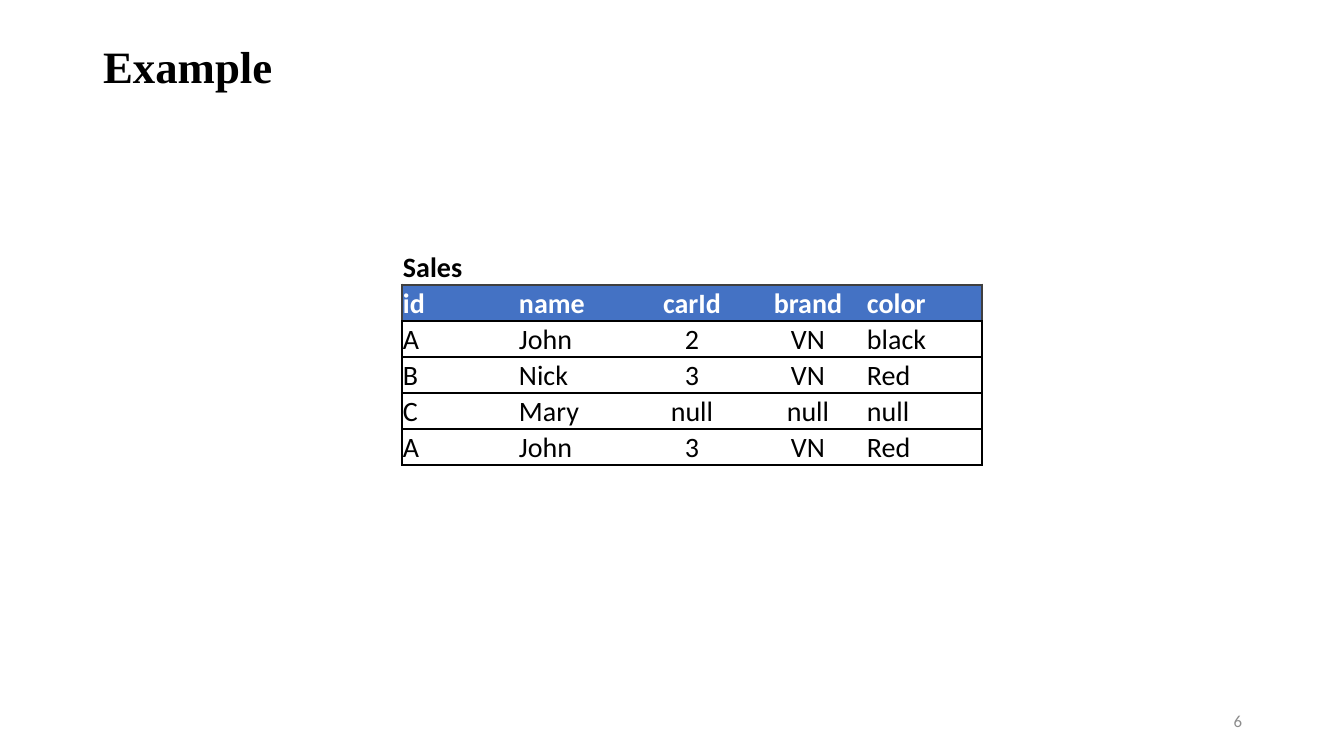
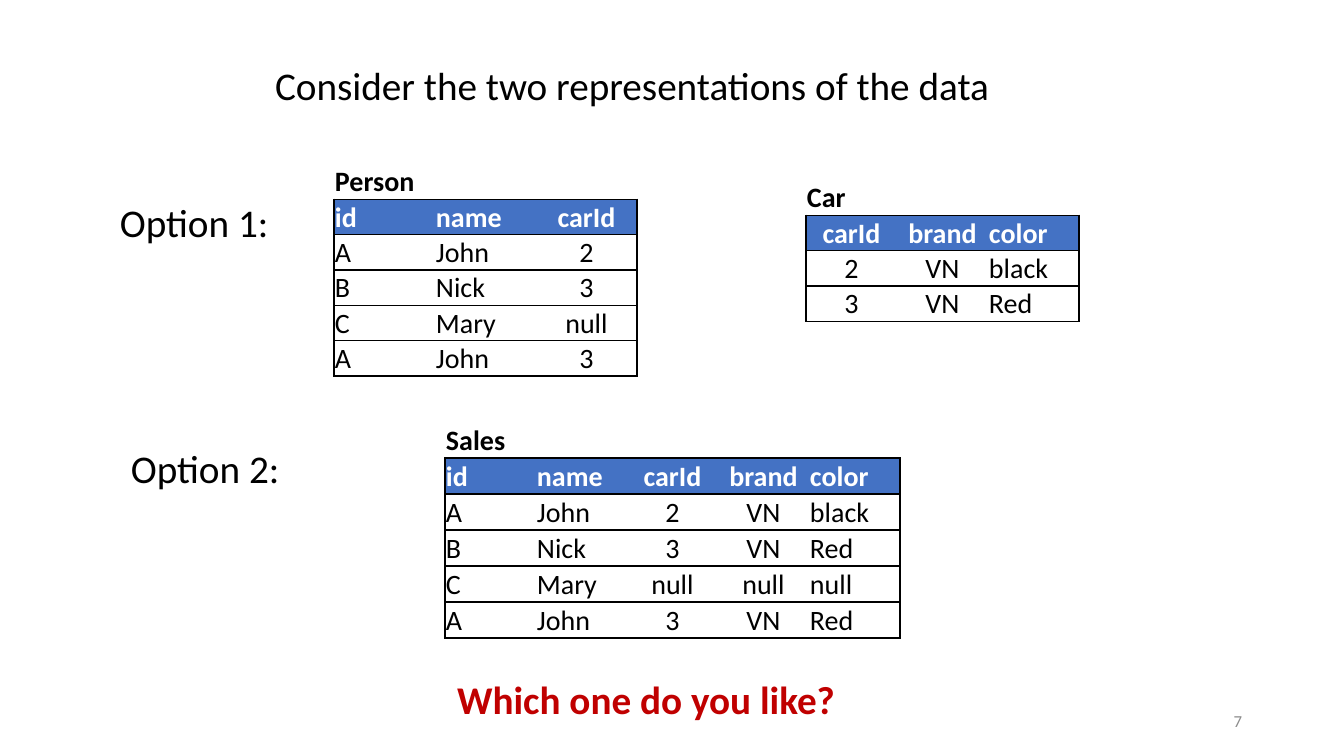
from lxml import etree
from pptx import Presentation
from pptx import util as u
from pptx.dml.color import RGBColor
from pptx.enum import text
from pptx.oxml.ns import qn

EMU_PER_INCH, PX_PER_INCH = 914400, 100.8
BLACK, WHITE, BLUE, RED = "000000", "FFFFFF", "4472C4", "C00000"
DARK, GREY = "3F3F3F", "8C8C8C"
NO_STYLE = "{2D5ABB26-0587-4C30-8999-92F81FD0307C}"
LEFT, CENTER, RIGHT = text.PP_ALIGN.LEFT, text.PP_ALIGN.CENTER, text.PP_ALIGN.RIGHT
TOP, MIDDLE, BOTTOM = text.MSO_ANCHOR.TOP, text.MSO_ANCHOR.MIDDLE, text.MSO_ANCHOR.BOTTOM


def px(*lengths):
    return [u.Emu(round(n * EMU_PER_INCH / PX_PER_INCH)) for n in lengths]


def write(tf, words, size, color=BLACK, bold=False, align=LEFT, font="Calibri"):
    p = tf.paragraphs[0]
    p.alignment = align
    r = p.add_run()
    r.text = words
    r.font.name, r.font.size, r.font.bold = font, u.Pt(size), bold
    r.font.color.rgb = RGBColor.from_string(color)


# Data: the split tables are columns of the sales table
sales = [
    ["id", "name", "carId", "brand", "color"],
    ["A", "John", "2", "VN", "black"],
    ["B", "Nick", "3", "VN", "Red"],
    ["C", "Mary", "null", "null", "null"],
    ["A", "John", "3", "VN", "Red"],
]
person = [row[:3] for row in sales]
car = [row[2:] for row in sales[:3]]
centered = ("carId", "brand")

# Title: words, box, size, bold, font, line spacing
# Tables: caption, rows, left, top, column width, row height, header line
# Labels: words, box, colour, bold, alignment
slides = [
    dict(
        number="6",
        title=("Example", (93, 40, 1159, 146), 32, True, "Times New Roman", 0.9),
        tables=[("Sales", sales, 402, 249, 116, 36, (DARK, 2))],
        labels=[],
    ),
    dict(
        number="7",
        title=("Consider the two representations of the data",
               (265, 56, 813, 57), 28, False, "Calibri", 1.0),
        tables=[
            ("Person", person, 334, 164, 101, 35, (BLACK, 1)),
            ("Car", car, 806, 180, 91, 35, (BLACK, 1)),
            ("Sales", sales, 445, 422, 91, 36, (BLACK, 1)),
        ],
        labels=[
            ("Option 1:", (110, 193, 244, 57), BLACK, False, LEFT),
            ("Option 2:", (121, 439, 244, 57), BLACK, False, LEFT),
            ("Which one do you like?", (445, 670, 402, 57), RED, True, CENTER),
        ],
    ),
]

prs = Presentation()
prs.slide_width, prs.slide_height = px(1344, 756)

for page in slides:
    s = prs.slides.add_slide(prs.slide_layouts[5])

    # Title
    words, box, size, bold, font, spacing = page["title"]
    sp = s.shapes.title
    sp.left, sp.top, sp.width, sp.height = px(*box)
    tf = sp.text_frame
    tf.auto_size, tf.vertical_anchor = text.MSO_AUTO_SIZE.NONE, TOP
    write(tf, words, size, bold=bold, font=font)
    tf.paragraphs[0].line_spacing = spacing

    # Tables
    for caption, rows, left, top, col_w, row_h, header_line in page["tables"]:
        n_rows, n_cols = len(rows) + 1, len(rows[0])
        frame = s.shapes.add_table(n_rows, n_cols, *px(left, top, col_w * n_cols, row_h * n_rows))
        frame.element.find(".//" + qn("a:tableStyleId")).text = NO_STYLE
        table = frame.table
        table.first_row = table.horz_banding = False
        captioned = [[caption] + [""] * (n_cols - 1)] + rows
        for i, row in enumerate(captioned):
            for j, words in enumerate(row):
                cell = table.cell(i, j)
                cell.vertical_anchor = BOTTOM
                cell.margin_left, cell.margin_right, cell.margin_top, cell.margin_bottom = px(1, 1, 1, 0)
                align = CENTER if i and rows[0][j] in centered else LEFT
                write(cell.text_frame, words, 20, WHITE if i == 1 else BLACK, i < 2, align)

                # Frame around the grid, lines between rows, none between columns
                thin = (BLACK, 1)
                side = header_line if i == 1 else thin
                lines = {}
                if i and j == 0:
                    lines["L"] = side
                if i and j == n_cols - 1:
                    lines["R"] = side
                if i:
                    lines["T"] = side
                lines["B"] = header_line if i == 0 else thin
                tcPr = cell._tc.get_or_add_tcPr()
                for edge, (color, width) in lines.items():
                    ln = etree.SubElement(tcPr, qn("a:ln" + edge), w=str(u.Pt(width)))
                    fill = etree.SubElement(ln, qn("a:solidFill"))
                    etree.SubElement(fill, qn("a:srgbClr"), val=color)

                if i == 1:
                    cell.fill.solid()
                    cell.fill.fore_color.rgb = RGBColor.from_string(BLUE)
                else:
                    cell.fill.background()

    # Labels
    for words, box, color, bold, align in page["labels"]:
        tf = s.shapes.add_textbox(*px(*box)).text_frame
        tf.word_wrap = True
        write(tf, words, 28, color, bold, align)

    # Slide number
    tf = s.shapes.add_textbox(*px(950, 701, 302, 40)).text_frame
    tf.word_wrap, tf.vertical_anchor = True, MIDDLE
    write(tf, page["number"], 12, GREY, align=RIGHT)

prs.save("out.pptx")
